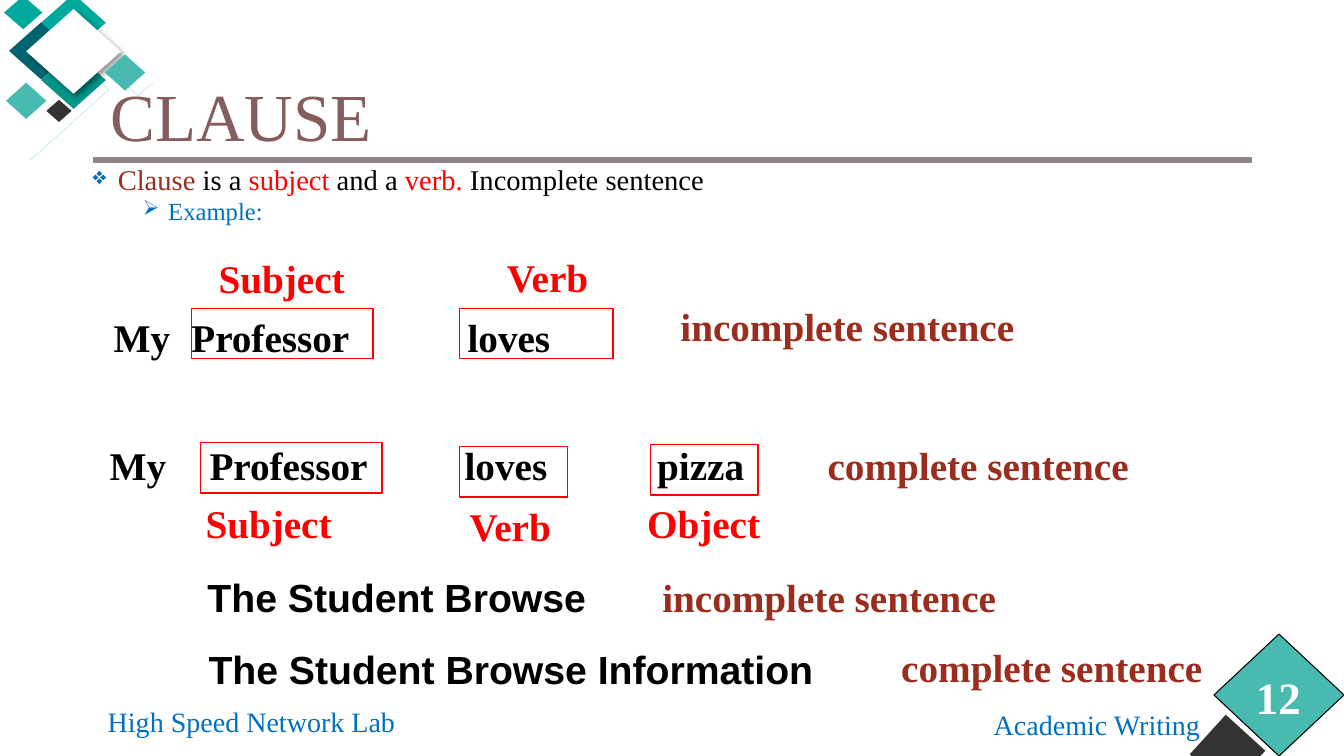
from dataclasses import dataclass
from typing import NamedTuple

from lxml.etree import SubElement
from pptx import Presentation
from pptx.dml.color import RGBColor
from pptx.enum.shapes import MSO_CONNECTOR, MSO_SHAPE
from pptx.enum.text import MSO_ANCHOR, PP_ALIGN
from pptx.oxml.ns import qn
from pptx.util import Cm, Pt


@dataclass(frozen=True)
class Theme:
    serif: str = "Times New Roman"
    sans: str = "Arial"
    black: str = "000000"
    white: str = "FFFFFF"
    red: str = "FF0000"
    rust: str = "9B2D1F"
    blue: str = "0070C0"
    mauve: str = "855D5D"
    rule: str = "918485"
    dark: str = "333333"
    mint: str = "49BAAF"
    teal: str = "00A99D"
    green: str = "009589"
    deep: str = "006470"
    pale: str = "99DDD8"
    title: float = 48
    page: float = 32
    label: float = 28
    lead: float = 20.4
    foot: float = 20
    sub: float = 17.6


class Box(NamedTuple):
    left: float
    top: float
    width: float
    height: float


class Label(NamedTuple):
    words: str
    box: Box
    color: str
    font: str = Theme.serif


class Row(NamedTuple):
    words: str
    box: Box
    tabs: tuple


class Gem(NamedTuple):
    box: Box
    fill: str
    edge: str = ""
    turn: float = 0
    shade: bool = False


T = Theme()


def size(inches: float) -> Cm:
    return Cm(inches * 2.54)


def place(box: Box) -> list:
    return [size(part) for part in box]


def rgb(code: str) -> RGBColor:
    return RGBColor.from_string(code)


def style(par, runs, pt: float, font: str, bold: bool) -> None:
    for words, color in runs:
        run = par.add_run()
        run.text = words
        run.font.name, run.font.size, run.font.bold = font, Pt(pt), bold
        run.font.color.rgb = rgb(color)


def text(slide, words: str, box: Box, *, color: str = T.black, pt: float = T.label,
         font: str = T.serif, bold: bool = False, wrap: bool = True,
         align=PP_ALIGN.LEFT, anchor=MSO_ANCHOR.TOP, tabs: tuple = ()):
    frame = slide.shapes.add_textbox(*place(box)).text_frame
    frame.word_wrap, frame.vertical_anchor = wrap, anchor
    par = frame.paragraphs[0]
    par.alignment = align
    if tabs:
        stops = SubElement(par._p.get_or_add_pPr(), qn("a:tabLst"))
        for stop in tabs:
            SubElement(stops, qn("a:tab"), pos=str(size(stop)), algn="l")
    if words:
        style(par, [(words, color)], pt, font, bold)
    return frame


def bullet(par, mark: str, level: int, indent: float) -> None:
    par.level, par.line_spacing = level, 0.8
    props = par._p.get_or_add_pPr()
    props.set("marL", str(size(indent)))
    props.set("indent", str(size(-0.25)))
    tint = SubElement(props, qn("a:buClr"))
    SubElement(tint, qn("a:srgbClr"), val=T.blue)
    SubElement(props, qn("a:buSzPct"), val="85000")
    SubElement(props, qn("a:buChar"), char=mark)


def gem(slide, item: Gem) -> None:
    shape = slide.shapes.add_shape(MSO_SHAPE.DIAMOND, *place(item.box))
    shape.shadow.inherit = False
    shape.rotation = item.turn
    shape.fill.solid()
    shape.fill.fore_color.rgb = rgb(item.fill)
    if item.edge:
        shape.line.color.rgb = rgb(item.edge)
        shape.line.width = Pt(0.75)
    else:
        shape.line.fill.background()
    if item.shade:
        effects = shape._element.spPr.find(qn("a:effectLst"))
        outer = SubElement(effects, qn("a:outerShdw"), blurRad=str(Pt(4)),
                           dist=str(Pt(3)), dir="2700000", algn="tl", rotWithShape="0")
        tint = SubElement(outer, qn("a:srgbClr"), val=T.black)
        SubElement(tint, qn("a:alpha"), val="40000")


def thread(slide, points: list) -> None:
    first, *rest = [(size(x), size(y)) for x, y in points]
    build = slide.shapes.build_freeform(*first)
    build.add_line_segments(rest, close=False)
    shape = build.convert_to_shape()
    shape.shadow.inherit = False
    shape.fill.background()
    shape.line.color.rgb = rgb(T.pale)
    shape.line.width = Pt(0.25)


def frame(slide, box: Box) -> None:
    shape = slide.shapes.add_shape(MSO_SHAPE.RECTANGLE, *place(box))
    shape.shadow.inherit = False
    shape.fill.background()
    shape.line.color.rgb = rgb(T.red)
    shape.line.width = Pt(1)


THREADS = [[(1.02, 0.83), (1.08, 0.89), (0.3, 1.59)],
           [(0.8, 0.45), (1.37, 0.95), (1.52, 0.82)]]
CORNER = [
    Gem(Box(0.09, 0.22, 0.64, 0.57), T.deep),
    Gem(Box(0.41, -0.06, 0.64, 0.57), T.teal),
    Gem(Box(0.04, -0.04, 0.38, 0.33), T.teal),
    Gem(Box(0.41, 0.51, 0.64, 0.57), T.green),
    Gem(Box(0.46, 0.99, 0.25, 0.22), T.dark),
    Gem(Box(0.26, 0.09, 0.94, 0.84), T.white, shade=True),
    Gem(Box(1.04, 0.54, 0.4, 0.36), T.mint),
    Gem(Box(0.06, 0.82, 0.4, 0.36), T.mint),
]
BADGE = [Gem(Box(11.8, 7.09, 0.75, 0.75), T.dark, turn=-2.7),
         Gem(Box(12.04, 6.29, 1.29, 1.21), T.mint, edge=T.black)]
ROWS = [Row("My\tProfessor\tloves", Box(1.03, 3.06, 5, 0.57), (0.77, 3.51)),
        Row("My\tProfessor\tloves\tpizza", Box(0.99, 4.33, 6.77, 0.57), (0.99, 3.52, 5.43))]
FRAMES = [Box(1.9, 3.06, 1.8, 0.5), Box(4.56, 3.06, 1.52, 0.5), Box(1.99, 4.39, 1.8, 0.5),
          Box(4.56, 4.43, 1.07, 0.5), Box(6.45, 4.41, 1.07, 0.5)]
LABELS = [
    Label("Subject", Box(2.07, 2.47, 1.47, 0.57), T.red),
    Label("Verb", Box(4.93, 2.46, 1.02, 0.57), T.red),
    Label("incomplete sentence", Box(6.65, 2.95, 3.55, 0.57), T.rust),
    Label("complete sentence", Box(8.11, 4.33, 3.22, 0.57), T.rust),
    Label("Subject", Box(1.94, 4.9, 1.47, 0.57), T.red),
    Label("Verb", Box(4.56, 4.93, 1.02, 0.57), T.red),
    Label("Object", Box(6.32, 4.9, 1.34, 0.57), T.red),
    Label("The Student Browse", Box(1.96, 5.64, 4, 0.57), T.black, T.sans),
    Label("incomplete sentence", Box(6.47, 5.64, 3.55, 0.57), T.rust),
    Label("The Student Browse Information", Box(1.97, 6.35, 6.27, 0.57), T.black, T.sans),
    Label("complete sentence", Box(8.84, 6.33, 3.22, 0.57), T.rust),
]
LEAD = [("Clause ", T.rust), ("is a ", T.black), ("subject ", T.red), ("and a ", T.black),
        ("verb. ", T.red), ("Incomplete sentence", T.black)]


def main() -> None:
    deck = Presentation()
    deck.slide_width, deck.slide_height = size(13.33), size(7.5)
    slide = deck.slides.add_slide(deck.slide_layouts[6])

    # Rule and diamond ornaments
    rule = slide.shapes.add_connector(MSO_CONNECTOR.STRAIGHT, *place(Box(0.92, 1.59, 12.42, 1.59)))
    rule.line.color.rgb, rule.line.width = rgb(T.rule), Pt(4.5)
    SubElement(rule._element.spPr, qn("a:effectLst"))
    for points in THREADS:
        thread(slide, points)
    for item in CORNER + BADGE:
        gem(slide, item)

    # Footer and page number
    text(slide, "High Speed Network Lab", Box(0.97, 6.93, 3.32, 0.46), color=T.blue,
         pt=T.foot, anchor=MSO_ANCHOR.MIDDLE)
    text(slide, "Academic Writing", Box(9.71, 6.97, 2.34, 0.44), color=T.blue,
         pt=T.foot, align=PP_ALIGN.CENTER)
    text(slide, "12", Box(11.96, 6.53, 1.44, 0.76), color=T.white, pt=T.page, bold=True,
         align=PP_ALIGN.CENTER, anchor=MSO_ANCHOR.MIDDLE)

    # Title and definition
    head = text(slide, "CLAUSE", Box(1, 0.56, 11.33, 1.25), color=T.mauve, pt=T.title,
                anchor=MSO_ANCHOR.MIDDLE)
    head.paragraphs[0].line_spacing = 0.9
    body = text(slide, "", Box(0.82, 1.62, 11.33, 0.7))
    lead, sub = body.paragraphs[0], body.add_paragraph()
    bullet(lead, "❖", 0, 0.25)
    style(lead, LEAD, T.lead, T.serif, False)
    bullet(sub, "➢", 1, 0.75)
    sub.space_before, sub.space_after = Pt(4), Pt(2)
    style(sub, [("Example:", T.blue)], T.sub, T.serif, False)

    # Example sentences with marked parts
    for row in ROWS:
        text(slide, row.words, row.box, bold=True, tabs=row.tabs)
    for box in FRAMES:
        frame(slide, box)
    for item in LABELS:
        text(slide, item.words, item.box, color=item.color, font=item.font, bold=True, wrap=False)

    deck.save("out.pptx")


if __name__ == "__main__":
    main()
